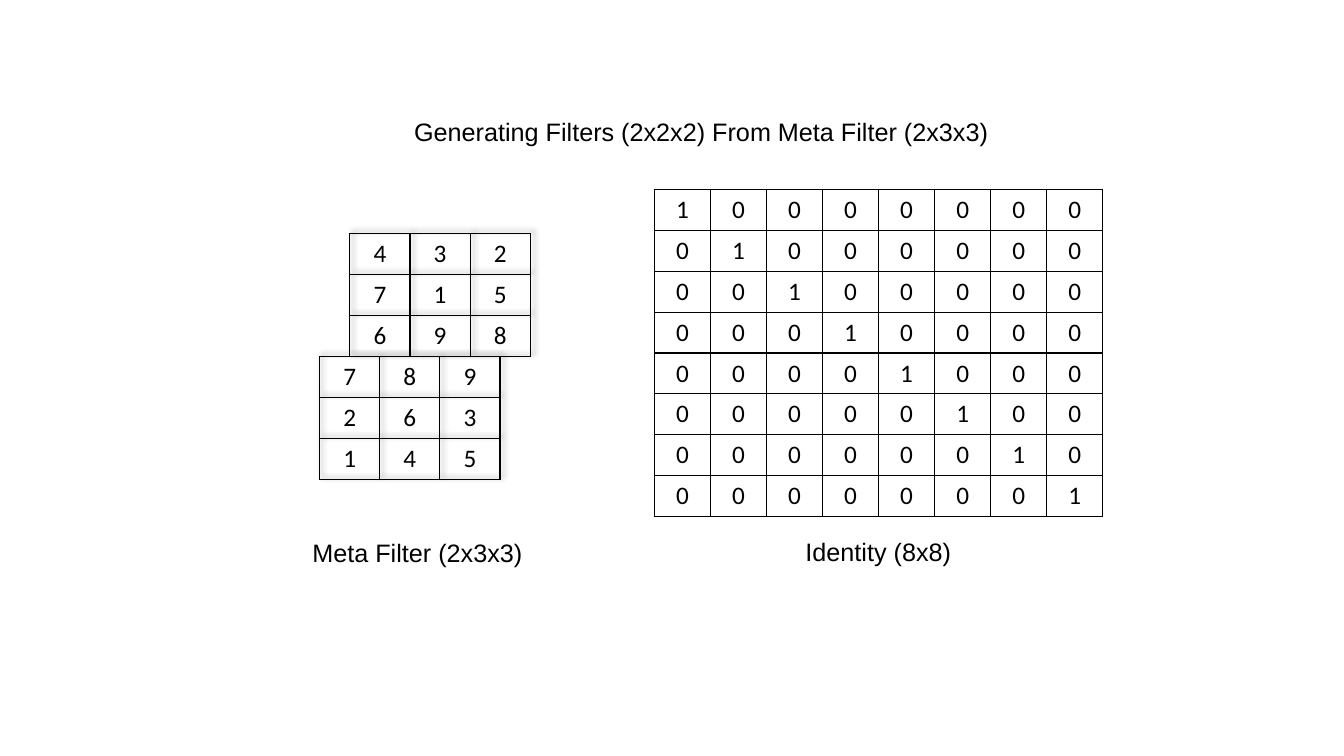
from lxml import etree
from pptx import Presentation
from pptx.dml.color import RGBColor
from pptx.enum.text import MSO_ANCHOR as Anchor, MSO_AUTO_SIZE as AutoSize, PP_ALIGN as Align
from pptx.oxml.ns import qn
from pptx.util import Inches, Pt

NO_STYLE = "{2D5ABB26-0587-4C30-8999-92F81FD0307C}"


def color(code):
    return RGBColor.from_string(code)


def add_node(parent, tag, **values):
    return etree.SubElement(parent, qn(tag), values)


class FilterPage:
    ink = "000000"
    text_size = 18
    label_font = "Arial"
    digit_font = "Calibri"

    def __init__(self, page):
        self.page = page

    def fill_para(self, para, text, font, align):
        para.alignment = align
        span = para.add_run()
        span.text = text
        for name, value in {"name": font, "size": Pt(self.text_size)}.items():
            setattr(span.font, name, value)
        span.font.color.rgb = color(self.ink)

    def label(self, text, left, top, width, align=Align.LEFT):
        box = self.page.shapes.add_textbox(
            Inches(left), Inches(top), Inches(width), Inches(0.4))
        frame = box.text_frame
        for name, value in {"word_wrap": True, "auto_size": AutoSize.SHAPE_TO_FIT_TEXT}.items():
            setattr(frame, name, value)
        self.fill_para(frame.paragraphs[0], text, self.label_font, align)

    def border(self, cell):
        properties = cell._tc.get_or_add_tcPr()
        for side in "LRTB":
            line = add_node(properties, f"a:ln{side}", w=str(Pt(1)))
            fill = add_node(line, "a:solidFill")
            add_node(fill, "a:srgbClr", val=self.ink)

    def cast_shadow(self, properties):
        effects = etree.Element(qn("a:effectLst"))
        shadow = add_node(effects, "a:outerShdw", blurRad=str(Pt(4)), dist=str(Pt(3)),
                          dir="18900000", algn="bl", rotWithShape="0")
        shade = add_node(shadow, "a:srgbClr", val=self.ink)
        add_node(shade, "a:alpha", val="40000")
        properties.insert(0, effects)

    def matrix(self, rows, left, top, width, height, shadow=False):
        count = len(rows)
        holder = self.page.shapes.add_table(
            count, count, Inches(left), Inches(top), Inches(width), Inches(height))
        table = holder.table
        for name in ("first_row", "horz_banding"):
            setattr(table, name, False)
        properties = table._tbl.tblPr
        properties.find(qn("a:tableStyleId")).text = NO_STYLE
        if shadow:
            self.cast_shadow(properties)
        for row, numbers in enumerate(rows):
            for column, number in enumerate(numbers):
                cell = table.cell(row, column)
                cell.vertical_anchor = Anchor.MIDDLE
                self.border(cell)
                cell.fill.background()
                self.fill_para(cell.text_frame.paragraphs[0], str(number),
                               self.digit_font, Align.CENTER)


def main():
    deck = Presentation()
    deck.slide_width, deck.slide_height = Inches(13.33), Inches(7.5)
    page = FilterPage(deck.slides.add_slide(deck.slide_layouts[6]))

    # Identity matrix
    size = 8
    identity = [[int(row == column) for column in range(size)] for row in range(size)]
    page.matrix(identity, 6.49, 1.88, 4.45, 3.24)

    # Two layers of the meta filter
    front = [[7, 8, 9], [2, 6, 3], [1, 4, 5]]
    back = [[4, 3, 2], [7, 1, 5], [6, 9, 8]]
    for layer, left, top in ((front, 3.17, 3.54), (back, 3.47, 2.32)):
        page.matrix(layer, left, top, 1.79, 1.22, shadow=True)

    # Captions and title
    page.label("Meta Filter (2x3x3)", 3, 5.28, 2.71)
    page.label("Identity (8x8)", 7.89, 5.27, 2.71)
    page.label("Generating Filters (2x2x2) From Meta Filter (2x3x3)",
               3.68, 1.11, 6.55, Align.CENTER)

    deck.save("out.pptx")


if __name__ == "__main__":
    main()
